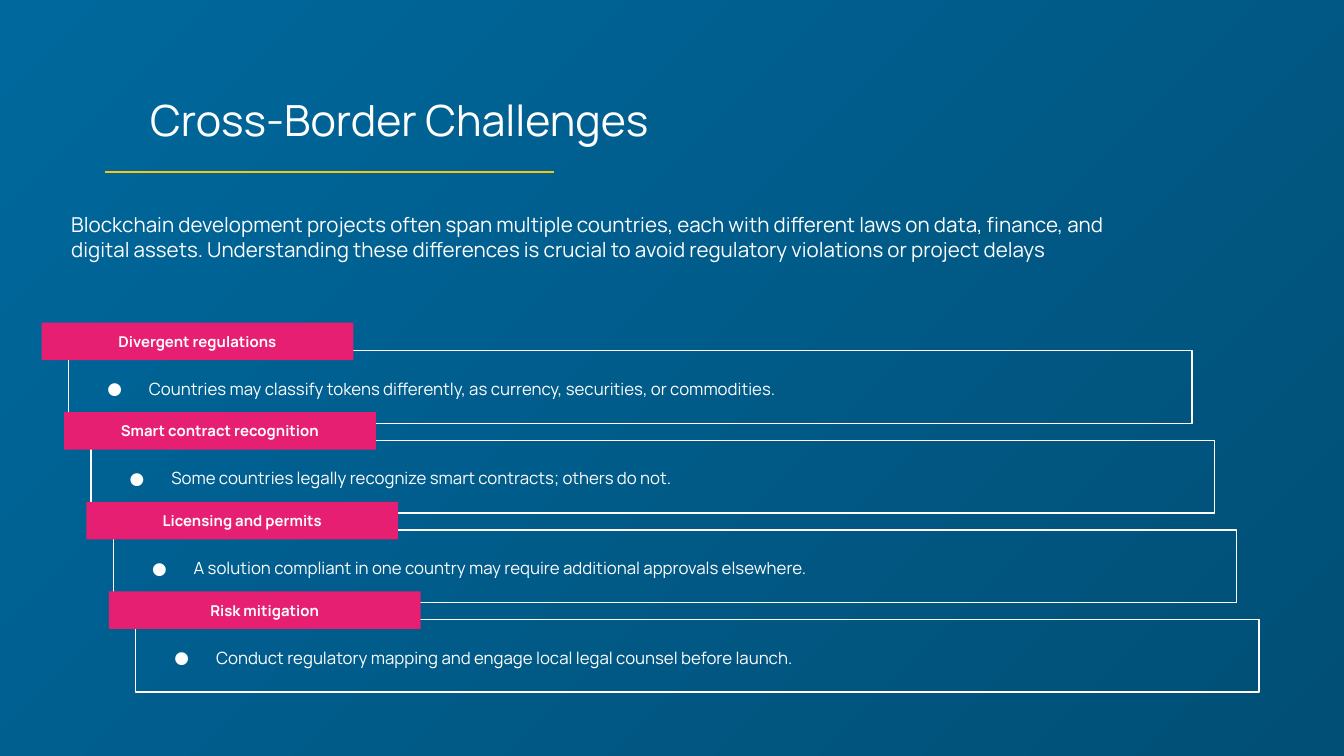
from lxml import etree
from pptx import Presentation
from pptx.dml.color import RGBColor
from pptx.enum.shapes import MSO_CONNECTOR, MSO_SHAPE
from pptx.enum.text import MSO_ANCHOR, MSO_AUTO_SIZE, PP_ALIGN
from pptx.oxml.ns import qn
from pptx.util import Inches, Pt

RECTANGLE = MSO_SHAPE.RECTANGLE
STRAIGHT = MSO_CONNECTOR.STRAIGHT
TOP, MIDDLE = MSO_ANCHOR.TOP, MSO_ANCHOR.MIDDLE
LEFT, CENTER = PP_ALIGN.LEFT, PP_ALIGN.CENTER
FIT_SHAPE = MSO_AUTO_SIZE.SHAPE_TO_FIT_TEXT

FONT = "Manrope"
COLORS = {
    "light_blue": "00689D",
    "dark_blue": "014F76",
    "white": "FFFFFF",
    "yellow": "FBC410",
    "pink": "E71F72",
}
INTRO = (
    "Blockchain development projects often span multiple countries, each with "
    "different laws on data, finance, and digital assets. Understanding these "
    "differences is crucial to avoid regulatory violations or project delays"
)
CHALLENGES = [
    ("Divergent regulations",
     "Countries may classify tokens differently, as currency, securities, or commodities."),
    ("Smart contract recognition",
     "Some countries legally recognize smart contracts; others do not."),
    ("Licensing and permits",
     "A solution compliant in one country may require additional approvals elsewhere."),
    ("Risk mitigation",
     "Conduct regulatory mapping and engage local legal counsel before launch."),
]
STEP_RIGHT, STEP_DOWN = 0.5 / 3, 2 / 3


def color(name):
    return RGBColor.from_string(COLORS[name])


def set_values(target, values):
    for name, value in values.items():
        setattr(target, name, value)


def set_background(page):
    fill = page.background.fill
    fill.gradient()
    fill.gradient_angle = 315
    for stop, name in zip(fill.gradient_stops, ("light_blue", "dark_blue")):
        stop.color.rgb = color(name)


def set_bullet(para, character=None):
    """Give the paragraph a hanging white bullet, or none at all."""
    properties = para._p.get_or_add_pPr()
    properties.set("marL", str(Inches(0.5 if character else 0)))
    properties.set("indent", str(Inches(-0.31 if character else 0)))
    if character:
        bullet_color = etree.SubElement(properties, qn("a:buClr"))
        etree.SubElement(bullet_color, qn("a:srgbClr"), val=COLORS["white"])
        etree.SubElement(properties, qn("a:buFont"), typeface=FONT)
        etree.SubElement(properties, qn("a:buChar"), char=character)
    else:
        etree.SubElement(properties, qn("a:buNone"))


def write(box, text, size, align=LEFT, anchor=TOP, bold=False, bullet=None, spacing=1.0):
    frame = box.text_frame
    margins = {f"margin_{side}": Inches(0.1) for side in ("left", "top", "right", "bottom")}
    set_values(frame, {"word_wrap": True, "vertical_anchor": anchor, **margins})
    para = frame.paragraphs[0]
    set_bullet(para, bullet)
    set_values(para, {"alignment": align, "line_spacing": spacing, "space_before": Pt(0)})
    span = para.add_run()
    span.text = text
    set_values(span.font, {"name": FONT, "size": Pt(size), "bold": bold})
    span.font.color.rgb = color("white")


def fill_placeholder(box, place, text, size, align):
    sides = ("left", "top", "width", "height")
    set_values(box, {side: Inches(value) for side, value in zip(sides, place)})
    write(box, text, size, align)
    box.text_frame.auto_size = FIT_SHAPE


def add_rectangle(page, left, top, width, height):
    box = page.shapes.add_shape(RECTANGLE, *map(Inches, (left, top, width, height)))
    box.shadow.inherit = False
    return box


def add_detail(page, left, top, text):
    box = add_rectangle(page, left, top, 8.36, 0.54)
    box.fill.background()
    box.line.color.rgb = color("white")
    box.line.width = Pt(0.75)
    write(box, text, 9, anchor=MIDDLE, bullet="●", spacing=1.15)


def add_label(page, left, top, text):
    box = add_rectangle(page, left, top, 2.32, 0.28)
    box.fill.solid()
    box.fill.fore_color.rgb = color("pink")
    box.line.fill.background()
    write(box, text, 8, align=CENTER, anchor=MIDDLE, bold=True)


def add_underline(page):
    line = page.shapes.add_connector(STRAIGHT, *map(Inches, (0.78, 1.28, 4.12, 1.28)))
    line.line.color.rgb = color("yellow")
    line.line.width = Pt(1.5)
    etree.SubElement(line._element.spPr, qn("a:effectLst"))


def main():
    deck = Presentation()
    deck.slide_width, deck.slide_height = Inches(10), Inches(10 * 9 / 16)
    page = deck.slides.add_slide(deck.slide_layouts[1])
    set_background(page)
    title, body = page.placeholders
    fill_placeholder(title, (-0.09, 0.6, 6.13, 0.59), "Cross-Border Challenges", 23, CENTER)
    fill_placeholder(body, (0.43, 1.48, 7.94, 0.76), INTRO, 11, LEFT)
    add_underline(page)
    for index, (label, detail) in enumerate(CHALLENGES):
        left = 0.31 + index * STEP_RIGHT
        top = 2.4 + index * STEP_DOWN
        add_detail(page, left + 0.2, top + 0.21, detail)
        add_label(page, left, top, label)
    deck.save("out.pptx")


if __name__ == "__main__":
    main()
